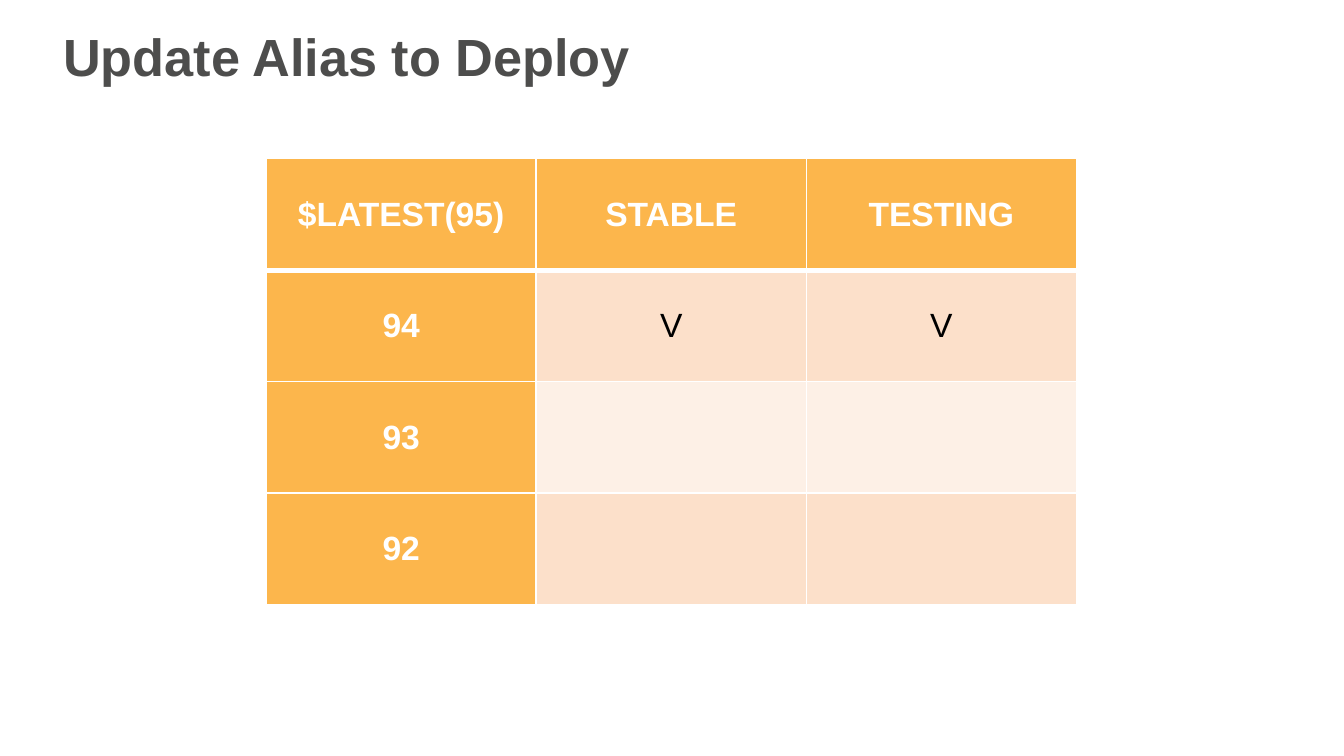
"""Build a slide with a table of the versions behind each alias."""
from lxml.etree import SubElement
from pptx import Presentation
from pptx.dml.color import RGBColor
from pptx.enum.text import MSO_ANCHOR, PP_ALIGN
from pptx.oxml.ns import qn
from pptx.util import Inches, Pt

COLORS = {
    "title": "4D4D4C",
    "head": "FCB64C",
    "dark": "FCE0CA",
    "light": "FDF0E6",
    "white": "FFFFFF",
    "black": "000000",
}
ROWS = [
    ["$LATEST(95)", "STABLE", "TESTING"],
    ["94", "V", "V"],
    ["93", "", ""],
    ["92", "", ""],
]


def style(para, size, color, bold):
    font = para.font
    font.name, font.size, font.bold = "Arial", Pt(size), bold
    font.color.rgb = RGBColor.from_string(COLORS[color])


def border(cell, side, width):
    line = SubElement(cell._tc.get_or_add_tcPr(), qn(f"a:ln{side}"), w=str(Pt(width)))
    fill = SubElement(line, qn("a:solidFill"))
    SubElement(fill, qn("a:srgbClr"), val=COLORS["white"])


deck = Presentation()
deck.slide_width = Inches(10)
deck.slide_height = Inches(10 * 9 / 16)
slide = deck.slides.add_slide(deck.slide_layouts[5])

title = slide.shapes.title
title.left, title.top = Inches(0.37), Inches(0.13)
title.width, title.height = Inches(8.97), Inches(0.6)
title.text_frame.text = "Update Alias to Deploy"
title.text_frame.vertical_anchor = MSO_ANCHOR.TOP
para = title.text_frame.paragraphs[0]
para.alignment = PP_ALIGN.LEFT
style(para, 28, "title", True)

frame = slide.shapes.add_table(
    len(ROWS), len(ROWS[0]), Inches(1.98), Inches(1.18), Inches(6.03), Inches(3.32)
)
table = frame.table
table.first_row = table.horz_banding = False

for r, row in enumerate(ROWS):
    for c, text in enumerate(row):
        cell = table.cell(r, c)
        head = r == 0 or c == 0
        for side in "LRTB":
            thick = (r, side) in [(0, "B"), (1, "T")]
            border(cell, side, 3 if thick else 1)
        shade = "head" if head else "dark" if r % 2 else "light"
        cell.fill.solid()
        cell.fill.fore_color.rgb = RGBColor.from_string(COLORS[shade])
        cell.margin_left = cell.margin_right = 0
        cell.margin_top = cell.margin_bottom = 0
        cell.vertical_anchor = MSO_ANCHOR.MIDDLE
        cell.text_frame.text = text
        para = cell.text_frame.paragraphs[0]
        para.alignment = PP_ALIGN.CENTER
        style(para, 18, "white" if head else "black", head)

deck.save("out.pptx")
